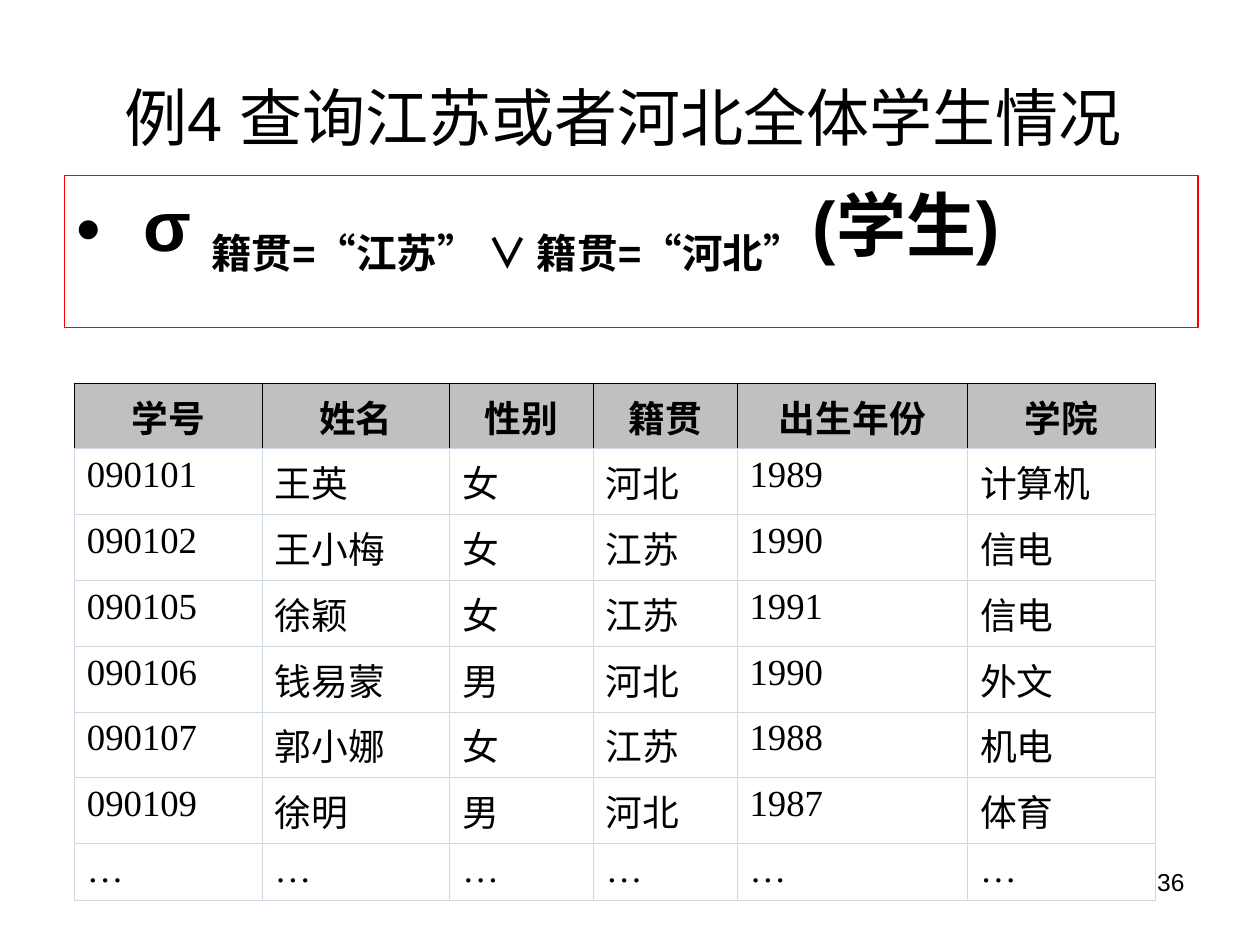
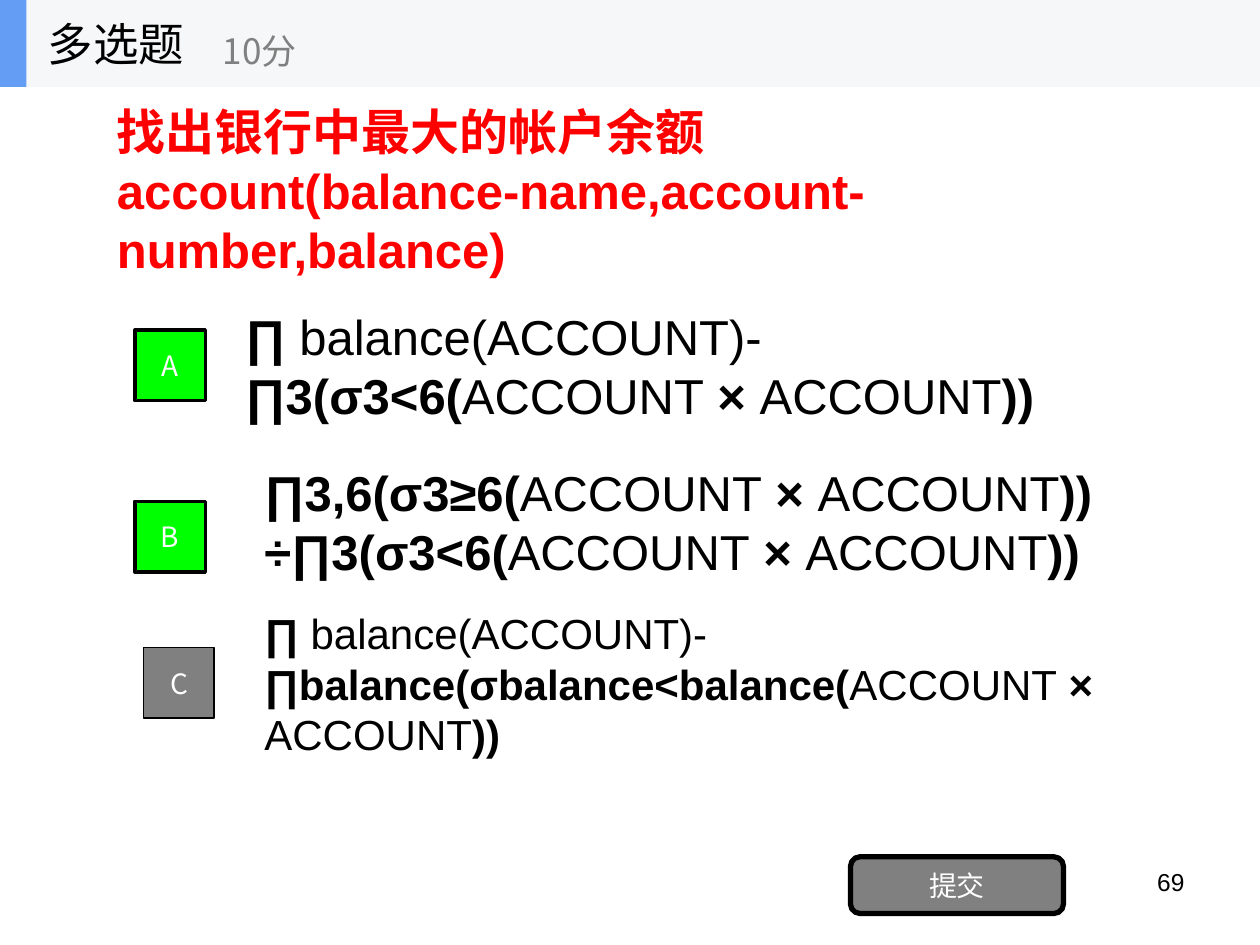
import pptx
import pptx.dml.color
import pptx.enum.shapes
import pptx.enum.text
import pptx.oxml.ns
import pptx.util
from dataclasses import dataclass
from lxml import etree

Inches = pptx.util.Inches
Pt = pptx.util.Pt
qn = pptx.oxml.ns.qn
ALIGN = pptx.enum.text.PP_ALIGN
ANCHOR = pptx.enum.text.MSO_ANCHOR
SHAPE = pptx.enum.shapes.MSO_SHAPE


@dataclass(frozen=True)
class Theme:
    black: str = "000000"
    white: str = "FFFFFF"
    red: str = "FF0000"
    green: str = "00FF00"
    gray: str = "808080"
    header: str = "C0C0C0"
    grid: str = "D0D7E5"
    band: str = "F6F7F8"
    accent: str = "639EF4"
    sans: str = "Arial"
    serif: str = "Times New Roman"
    chinese: str = "Noto Sans CJK SC"
    formula_size: int = 40
    title_size: int = 36
    question_size: int = 28
    quiz_title_size: int = 26
    small_option_size: int = 24
    table_size: int = 21
    score_size: int = 20
    button_size: int = 16
    number_size: int = 14


THEME = Theme()

QUERY_TITLE = "例4 查询江苏或者河北全体学生情况 "
FORMULA = [(" σ ", 0), ("籍贯=“江苏” ∨ 籍贯=“河北” ", -25000), ("(学生)", 0)]
STUDENTS = [
    ("学号", "姓名", "性别", "籍贯", "出生年份", "学院"),
    ("090101", "王英", "女", "河北", "1989", "计算机"),
    ("090102", "王小梅", "女", "江苏", "1990", "信电"),
    ("090105", "徐颖", "女", "江苏", "1991", "信电"),
    ("090106", "钱易蒙", "男", "河北", "1990", "外文"),
    ("090107", "郭小娜", "女", "江苏", "1988", "机电"),
    ("090109", "徐明", "男", "河北", "1987", "体育"),
    ("…",) * 6,
]
COLUMN_WIDTHS = (1.49, 1.49, 1.14, 1.14, 1.83, 1.49)
ROW_HEIGHT = 0.45

QUIZ_TITLE = "多选题"
SCORE = "10分"
QUESTION = ["找出银行中最大的帐户余额", "account(balance-name,account-number,balance)"]
PRODUCT = [("ACCOUNT", False), (" × ", True), ("ACCOUNT", False)]
PROJECTION = [("∏", True), (" balance(ACCOUNT)-", False)]
OPTIONS = [
    dict(letter="A", runs=PROJECTION + [("∏3(σ3<6(", True)] + PRODUCT + [("))", True)],
         text_box=(1.85, 2.55, 7.86, 0.7), size=THEME.question_size,
         key=(1.07, 2.62), fill=THEME.green, line=2),
    dict(letter="B", runs=[("∏3,6(σ3≥6(", True)] + PRODUCT + [(")) ÷∏3(σ3<6(", True)]
         + PRODUCT + [("))", True)],
         text_box=(2, 3.63, 7.5, 1.01), size=THEME.question_size,
         key=(1.07, 3.98), fill=THEME.green, line=2),
    dict(letter="C", runs=PROJECTION + [("∏balance(σbalance<balance(", True)]
         + PRODUCT + [("))", True)],
         text_box=(2, 4.92, 7.71, 1.01), size=THEME.small_option_size,
         key=(1.14, 5.14), fill=THEME.gray, line=1),
]
KEY_SIZE = 0.56
SUBMIT = "提交"
BAND_HEIGHT = 0.69


def rgb(value):
    return pptx.dml.color.RGBColor.from_string(value)


def add_run(paragraph, text, size, color=THEME.black, name=THEME.sans, bold=False):
    run = paragraph.add_run()
    run.text = text
    for attribute, value in dict(size=Pt(size), name=name, bold=bold).items():
        setattr(run.font, attribute, value)
    run.font.color.rgb = rgb(color)
    east_asian = etree.SubElement(run.font._element, qn("a:ea"))
    east_asian.set("typeface", THEME.chinese)
    return run


def frame_text(shape, anchor=ANCHOR.TOP):
    frame = shape.text_frame
    values = dict(word_wrap=True, auto_size=pptx.enum.text.MSO_AUTO_SIZE.NONE,
                  vertical_anchor=anchor, margin_left=Inches(0.1), margin_right=Inches(0.1),
                  margin_top=Inches(0.05), margin_bottom=Inches(0.05))
    for attribute, value in values.items():
        setattr(frame, attribute, value)
    return frame


def add_text(slide, box, text, size, align=ALIGN.LEFT, anchor=ANCHOR.TOP, **font):
    shape = slide.shapes.add_textbox(*map(Inches, box))
    paragraph = frame_text(shape, anchor).paragraphs[0]
    paragraph.alignment = align
    add_run(paragraph, text, size, **font)


def add_box(slide, box, fill=None, line=None, width=1, kind=SHAPE.RECTANGLE):
    shape = slide.shapes.add_shape(kind, *map(Inches, box))
    shape.shadow.inherit = False
    if fill:
        shape.fill.solid()
        shape.fill.fore_color.rgb = rgb(fill)
    else:
        shape.fill.background()
    if line:
        shape.line.color.rgb = rgb(line)
        shape.line.width = Pt(width)
    else:
        shape.line.fill.background()
    return shape


def add_button(slide, box, label, fill, width, kind=SHAPE.RECTANGLE):
    shape = add_box(slide, box, fill, THEME.black, width, kind)
    paragraph = frame_text(shape, ANCHOR.MIDDLE).paragraphs[0]
    paragraph.alignment = ALIGN.CENTER
    add_run(paragraph, label, THEME.button_size, THEME.white, THEME.chinese)


def set_title(slide, box, text, size, align, name=THEME.sans):
    title = slide.shapes.title
    for attribute, value in zip(("left", "top", "width", "height"), box):
        setattr(title, attribute, Inches(value))
    paragraph = frame_text(title, ANCHOR.MIDDLE).paragraphs[0]
    paragraph.alignment = align
    add_run(paragraph, text, size, name=name)
    return title


def new_slide(presentation, number):
    slide = presentation.slides.add_slide(presentation.slide_layouts[5])
    add_text(slide, (7.17, 6.83, 2.33, 0.52), number, THEME.number_size, ALIGN.RIGHT)
    return slide


def add_formula(slide):
    shape = add_box(slide, (0.51, 1.39, 9, 1.21), line=THEME.red, width=0.75)
    paragraph = frame_text(shape).paragraphs[0]
    paragraph.alignment = ALIGN.LEFT
    properties = paragraph._p.get_or_add_pPr()
    properties.set("marL", str(Inches(0.38)))
    properties.set("indent", str(Inches(-0.38)))
    color = etree.SubElement(properties, qn("a:buClr"))
    etree.SubElement(color, qn("a:srgbClr")).set("val", THEME.black)
    etree.SubElement(properties, qn("a:buFont")).set("typeface", THEME.sans)
    etree.SubElement(properties, qn("a:buChar")).set("char", "•")
    for text, baseline in FORMULA:
        run = add_run(paragraph, text, THEME.formula_size, bold=True)
        if baseline:
            run.font._element.set("baseline", str(baseline))


def style_cell(cell, fill, borders):
    cell.fill.solid()
    cell.fill.fore_color.rgb = rgb(fill)
    properties = cell._tc.get_or_add_tcPr()
    for index, (side, color) in enumerate(borders.items()):
        line = etree.Element(qn("a:ln" + side), w=str(Pt(0.45)))
        solid = etree.SubElement(line, qn("a:solidFill"))
        etree.SubElement(solid, qn("a:srgbClr")).set("val", color)
        properties.insert(index, line)


def add_students(slide):
    table = slide.shapes.add_table(
        len(STUDENTS), len(COLUMN_WIDTHS), Inches(0.59), Inches(3.04),
        Inches(sum(COLUMN_WIDTHS)), Inches(ROW_HEIGHT * len(STUDENTS))).table
    table.first_row = table.horz_banding = False
    for column, width in zip(table.columns, COLUMN_WIDTHS):
        column.width = Inches(width)
    for row_index, values in enumerate(STUDENTS):
        is_header = row_index == 0
        edge = THEME.black if is_header else THEME.grid
        borders = dict(L=edge, R=edge, T=edge, B=THEME.grid)
        table.rows[row_index].height = Inches(ROW_HEIGHT)
        for column_index, value in enumerate(values):
            cell = table.cell(row_index, column_index)
            style_cell(cell, THEME.header if is_header else THEME.white, borders)
            cell.vertical_anchor = ANCHOR.MIDDLE if is_header else ANCHOR.TOP
            paragraph = cell.text_frame.paragraphs[0]
            paragraph.alignment = ALIGN.CENTER if is_header else ALIGN.LEFT
            add_run(paragraph, value, THEME.table_size, name=THEME.serif, bold=is_header)


def build_query_slide(presentation):
    slide = new_slide(presentation, "36")
    set_title(slide, (0.5, 0.3, 9, 1.25), QUERY_TITLE, THEME.title_size, ALIGN.CENTER)
    add_formula(slide)
    add_students(slide)


def build_quiz_slide(presentation):
    slide = new_slide(presentation, "69")
    question = slide.shapes.add_textbox(*map(Inches, (0.83, 0.76, 8, 1.5)))
    frame = frame_text(question)
    for index, text in enumerate(QUESTION):
        paragraph = frame.add_paragraph() if index else frame.paragraphs[0]
        add_run(paragraph, text, THEME.question_size, THEME.red, bold=True)
    for option in OPTIONS:
        answer = slide.shapes.add_textbox(*map(Inches, option["text_box"]))
        paragraph = frame_text(answer, ANCHOR.MIDDLE).paragraphs[0]
        for text, bold in option["runs"]:
            add_run(paragraph, text, option["size"], bold=bold)
        add_button(slide, (*option["key"], KEY_SIZE, KEY_SIZE), option["letter"],
                   option["fill"], option["line"])
    add_button(slide, (6.75, 6.8, 1.69, 0.45), SUBMIT, THEME.gray, 3, SHAPE.ROUNDED_RECTANGLE)
    add_box(slide, (0, 0, 10, BAND_HEIGHT), THEME.band)
    add_box(slide, (0, 0, 0.21, BAND_HEIGHT), THEME.accent)
    title = set_title(slide, (0.28, 0, 2.08, BAND_HEIGHT), QUIZ_TITLE,
                      THEME.quiz_title_size, ALIGN.LEFT, THEME.chinese)
    title.element.getparent().append(title.element)
    add_text(slide, (1.67, 0.12, 2.5, 0.56), SCORE, THEME.score_size,
             anchor=ANCHOR.MIDDLE, color=THEME.gray, name=THEME.chinese)


def main():
    presentation = pptx.Presentation()
    presentation.slide_width = Inches(10)
    presentation.slide_height = Inches(7.5)
    build_query_slide(presentation)
    build_quiz_slide(presentation)
    presentation.save("out.pptx")


if __name__ == "__main__":
    main()
